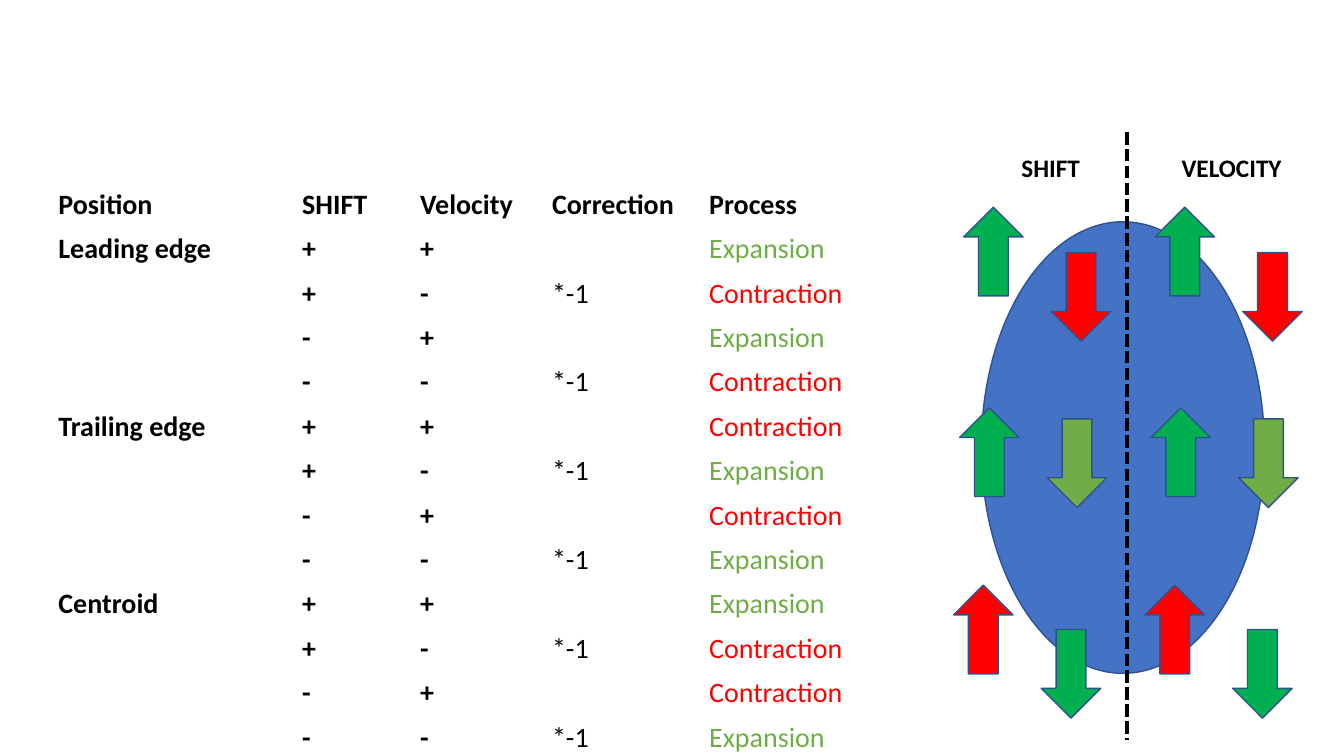
from itertools import product

from lxml import etree
from pptx import Presentation
from pptx.dml.color import RGBColor
from pptx.enum.dml import MSO_LINE_DASH_STYLE as DASH
from pptx.enum.shapes import MSO_CONNECTOR as CONNECTOR, MSO_SHAPE as SHAPE
from pptx.enum.text import MSO_ANCHOR as ANCHOR, MSO_AUTO_SIZE as AUTO_SIZE
from pptx.oxml.ns import qn
from pptx.util import Inches, Pt

COLORS = {
    "text": "000000",
    "cell": "4472C4",
    "outline": "2F528F",
    "green": "00B050",
    "light_green": "70AD47",
    "red": "FF0000",
}
PROCESS_COLORS = {"Expansion": "light_green", "Contraction": "red"}
HEADERS = ["Position", "SHIFT", "Velocity", "Correction", "Process"]
COLUMN_WIDTHS = [2.42, 1.17, 1.31, 1.56, 1.8]
POSITIONS = {
    "Leading edge": "ECEC",
    "Trailing edge": "CECE",
    "Centroid": "ECCE",
}
ARROW_PAIRS = [
    (0.1, 0, 0.45, "green", "red"),
    (0, 3.75, 4.19, "red", "green"),
    (0.06, 1.99, 2.1, "green", "light_green"),
]


def rgb(name):
    return RGBColor.from_string(COLORS[name])


def format_text(p, size, color="text", bold=True):
    for r in p.runs:
        r.font.name = "Calibri"
        r.font.size = Pt(size)
        r.font.bold = bold
        r.font.color.rgb = rgb(color)


def table_rows():
    rows = [HEADERS]
    for position, outcomes in POSITIONS.items():
        for i, (shift, velocity) in enumerate(product("+-", repeat=2)):
            rows.append([
                "" if i else position,
                shift,
                velocity,
                "*-1" if velocity == "-" else "",
                "Expansion" if outcomes[i] == "E" else "Contraction",
            ])
    return rows


def add_process_table(s, x, y, w, h):
    rows = table_rows()
    table = s.shapes.add_table(len(rows), len(HEADERS), Inches(x), Inches(y),
                               Inches(w), Inches(h)).table
    table.first_row = False
    table.horz_banding = False
    for column, width in zip(table.columns, COLUMN_WIDTHS):
        column.width = Inches(width)
    for i, row in enumerate(rows):
        for j, text in enumerate(row):
            cell = table.cell(i, j)
            cell.fill.background()
            cell.margin_left = cell.margin_right = Inches(0.01)
            cell.vertical_anchor = ANCHOR.BOTTOM
            p = cell.text_frame.paragraphs[0]
            p.text = text
            format_text(p, 20, PROCESS_COLORS.get(text, "text"), i == 0 or j < 3)


def add_filled_shape(s, kind, x, y, w, h, color, rotation=0):
    sp = s.shapes.add_shape(kind, Inches(x), Inches(y), Inches(w), Inches(h))
    sp.shadow.inherit = False
    sp.rotation = rotation
    sp.fill.solid()
    sp.fill.fore_color.rgb = rgb(color)
    sp.line.color.rgb = rgb("outline")
    sp.line.width = Pt(1)


def add_arrows(s, x, y):
    for dx, up_y, down_y, up_color, down_color in ARROW_PAIRS:
        for ax, ay, color, rotation in ((0, up_y, up_color, 270),
                                        (0.87, down_y, down_color, 90)):
            add_filled_shape(s, SHAPE.RIGHT_ARROW, x + dx + ax, y + ay,
                             0.88, 0.59, color, rotation)


def add_divider(s, x, top, bottom):
    line = s.shapes.add_connector(CONNECTOR.STRAIGHT, Inches(x), Inches(top),
                                  Inches(x), Inches(bottom))
    line.line.color.rgb = rgb("text")
    line.line.width = Pt(3)
    line.line.dash_style = DASH.SQUARE_DOT
    etree.SubElement(line._element.spPr, qn("a:effectLst"))


def add_label(s, text, x, y, w, h):
    tf = s.shapes.add_textbox(Inches(x), Inches(y), Inches(w), Inches(h)).text_frame
    tf.word_wrap = False
    tf.auto_size = AUTO_SIZE.SHAPE_TO_FIT_TEXT
    tf.text = text
    format_text(tf.paragraphs[0], 18)


def add_cell_diagram(s, x, y):
    add_filled_shape(s, SHAPE.OVAL, x + 0.42, y + 0.89, 2.81, 4.48, "cell")
    for panel in range(2):
        add_arrows(s, x + 1.9 * panel, y + 0.89)
    add_divider(s, x + 1.87, y, y + 6.03)
    add_label(s, "SHIFT", x + 0.72, y + 0.15, 0.78, 0.4)
    add_label(s, "VELOCITY", x + 2.31, y + 0.15, 1.19, 0.4)


def main():
    prs = Presentation()
    prs.slide_width = Inches(13.34)
    prs.slide_height = Inches(7.5)
    s = prs.slides.add_slide(prs.slide_layouts[6])
    add_process_table(s, 0.57, 1.81, 8.26, 4.42)
    add_cell_diagram(s, 9.32, 1.31)
    prs.save("out.pptx")


if __name__ == "__main__":
    main()
